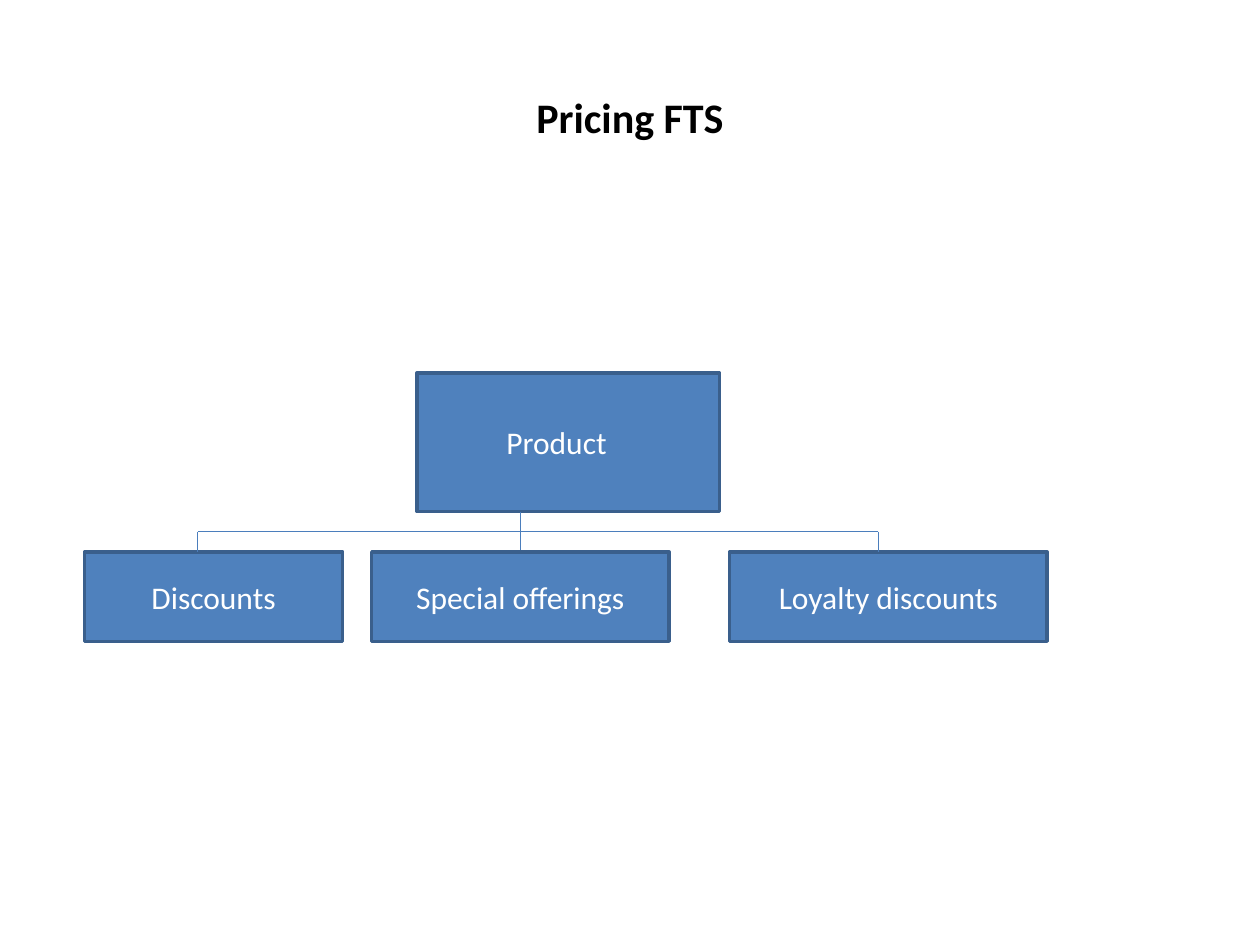
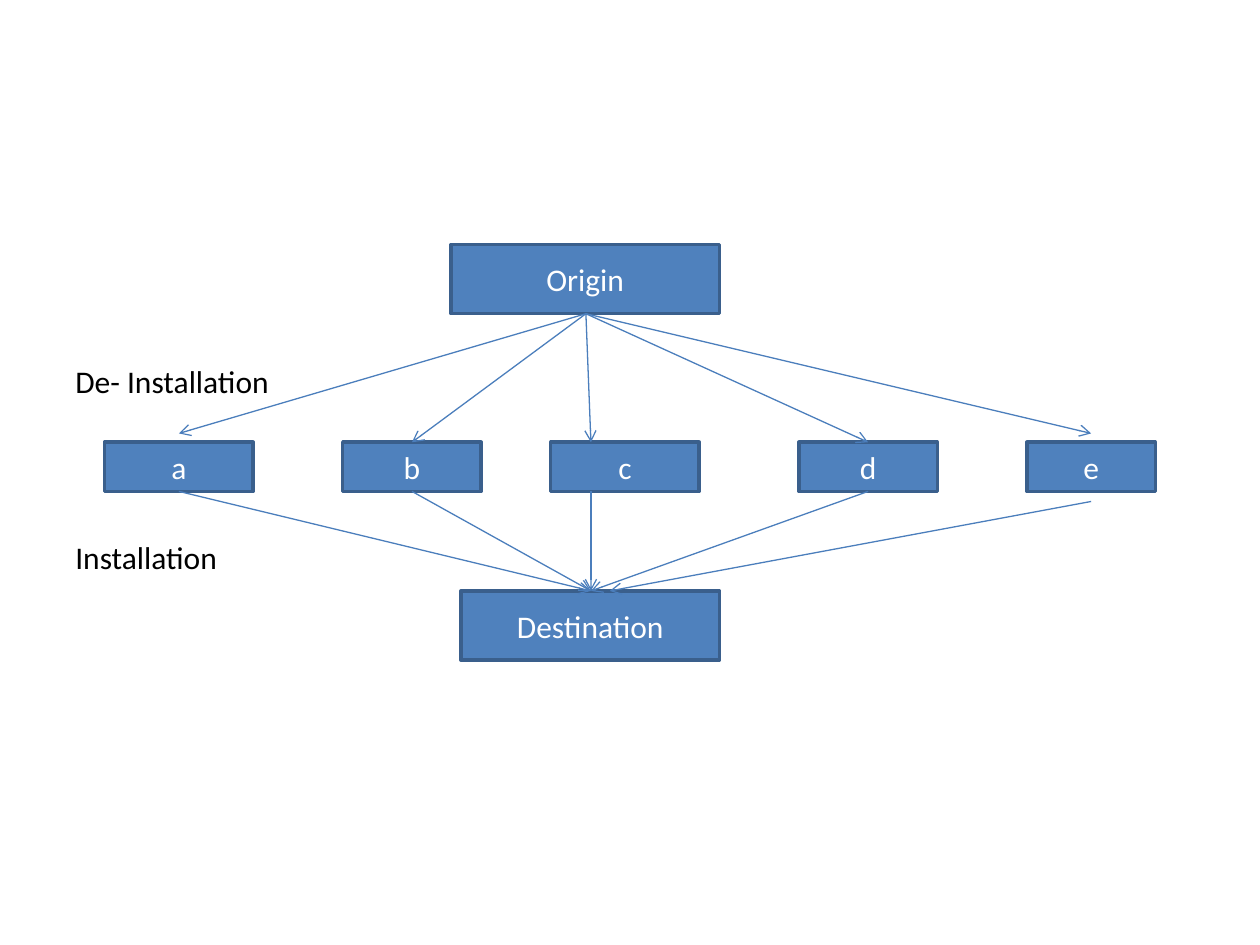
from lxml import etree
from pptx import Presentation, util as u
from pptx.dml.color import RGBColor
from pptx.enum import shapes, text
from pptx.oxml.ns import qn

BLUE = RGBColor(0x4F, 0x81, 0xBD)
BORDER = RGBColor(0x3A, 0x5F, 0x8C)
LINK = RGBColor(0x4B, 0x7E, 0xBC)
WHITE = RGBColor(0xFF, 0xFF, 0xFF)
BLACK = RGBColor(0, 0, 0)

COLUMNS, ROWS = 100, 75  # grid of the slide
CENTER, LEFT = text.PP_ALIGN.CENTER, text.PP_ALIGN.LEFT
MIDDLE, TOP = text.MSO_ANCHOR.MIDDLE, text.MSO_ANCHOR.TOP


class Deck:
    """Holds the style and the current slide; lengths are grid columns and rows."""

    FONT = {"name": "Calibri", "size": u.Pt(18), "bold": False}

    def __init__(self):
        self.show = Presentation()
        self.show.slide_width, self.show.slide_height = u.Inches(10), u.Inches(7.5)
        self.slide = None

    def new_slide(self):
        self.slide = self.show.slides.add_slide(self.show.slide_layouts[6])

    def x(self, columns):
        return round(self.show.slide_width * columns / COLUMNS)

    def y(self, rows):
        return round(self.show.slide_height * rows / ROWS)

    def area(self, left, top, width, height):
        return self.x(left), self.y(top), self.x(width), self.y(height)

    def set_text(self, shape, lines, color, align, anchor, gap=0, **changes):
        frame = shape.text_frame
        frame.word_wrap = True
        frame.vertical_anchor = anchor
        for number, line in enumerate(lines):
            paragraph = frame.paragraphs[0] if number == 0 else frame.add_paragraph()
            paragraph.alignment = align
            if number:
                paragraph.space_before = u.Pt(gap)
            run = paragraph.add_run()
            run.text = line
            for key, value in {**self.FONT, **changes}.items():
                setattr(run.font, key, value)
            run.font.color.rgb = color

    def title(self, wording):
        heading = self.slide.shapes.add_textbox(*self.area(5, 3, 90, 12.5))
        self.set_text(heading, [wording], BLACK, CENTER, MIDDLE, size=u.Pt(24), bold=True)

    def body(self, lines, inset, gap):
        phases = self.slide.shapes.add_textbox(*self.area(5, 17.5, 90, 49.5))
        phases.text_frame.margin_top = self.y(inset)
        self.set_text(phases, lines, BLACK, LEFT, TOP, gap)

    def box(self, label, left, top, width, height, indent=None):
        box = self.slide.shapes.add_shape(
            shapes.MSO_SHAPE.RECTANGLE, *self.area(left, top, width, height))
        box.shadow.inherit = False
        box.fill.solid()
        box.fill.fore_color.rgb = BLUE
        box.line.color.rgb = BORDER
        box.line.width = u.Pt(2)
        if indent:
            box.text_frame.margin_left = self.x(indent)
        self.set_text(box, [label], WHITE, LEFT if indent else CENTER, MIDDLE)

    def link(self, x1, y1, x2, y2, arrow=False):
        link = self.slide.shapes.add_connector(
            shapes.MSO_CONNECTOR.STRAIGHT, self.x(x1), self.y(y1), self.x(x2), self.y(y2))
        link.line.color.rgb = LINK
        link.line.width = u.Pt(0.75)
        properties = link._element.spPr
        if arrow:
            etree.SubElement(properties.find(qn("a:ln")), qn("a:tailEnd"), type="arrow")
        etree.SubElement(properties, qn("a:effectLst"))


deck = Deck()

# Slide 1: product and its price tools
deck.new_slide()
deck.title("Pricing FTS")
product_top, product_height = 29.6, 11
tools_top, tools_height = 43.8, 7.1
product_bottom = product_top + product_height
bus = (product_bottom + tools_top) / 2
stem = 41.3

deck.box("Product", 33.1, product_top, 24, product_height, indent=7.1)
deck.link(stem, product_bottom, stem, tools_top)
# label, left, width, column where the branch comes down
for label, left, width, branch in [
    ("Discounts", 6.7, 20.5, 15.7),
    ("Special offerings", 29.5, 23.6, stem),
    ("Loyalty discounts", 57.9, 25.2, 69.7),
]:
    deck.box(label, left, tools_top, width, tools_height)
    if branch != stem:
        deck.link(stem, bus, branch, bus)
        deck.link(branch, bus, branch, tools_top)

# Slide 2: from origin through the steps to destination
deck.new_slide()
deck.body(["De- Installation", "Installation"], inset=11.2, gap=79)
end_height = 5.5
origin_top, destination_top = 19.4, 46.9
steps_top, steps_height = 35.1, 3.9
origin_x, destination_x = 46.5, 46.9

deck.box("Origin", 35.8, origin_top, 21.3, end_height)
deck.box("Destination", 36.6, destination_top, 20.5, end_height)
# label, left, width, arrow column, gap above, gap below, shift at the destination
for label, left, width, column, above, below, shift in [
    ("a", 8.3, 11.8, 14.2, 0.7, 0, 0),
    ("b", 27.2, 11, 32.7, 0, 0, 0),
    ("c", 43.7, 11.8, destination_x, 0, 0, 0),
    ("d", 63.4, 11, 68.9, 0, 0, 0),
    ("e", 81.5, 10.2, 86.6, 0.7, 0.8, 1.5),
]:
    deck.box(label, left, steps_top, width, steps_height)
    deck.link(origin_x, origin_top + end_height, column, steps_top - above, arrow=True)
    deck.link(column, steps_top + steps_height + below,
              destination_x + shift, destination_top, arrow=True)

deck.show.save("out.pptx")
